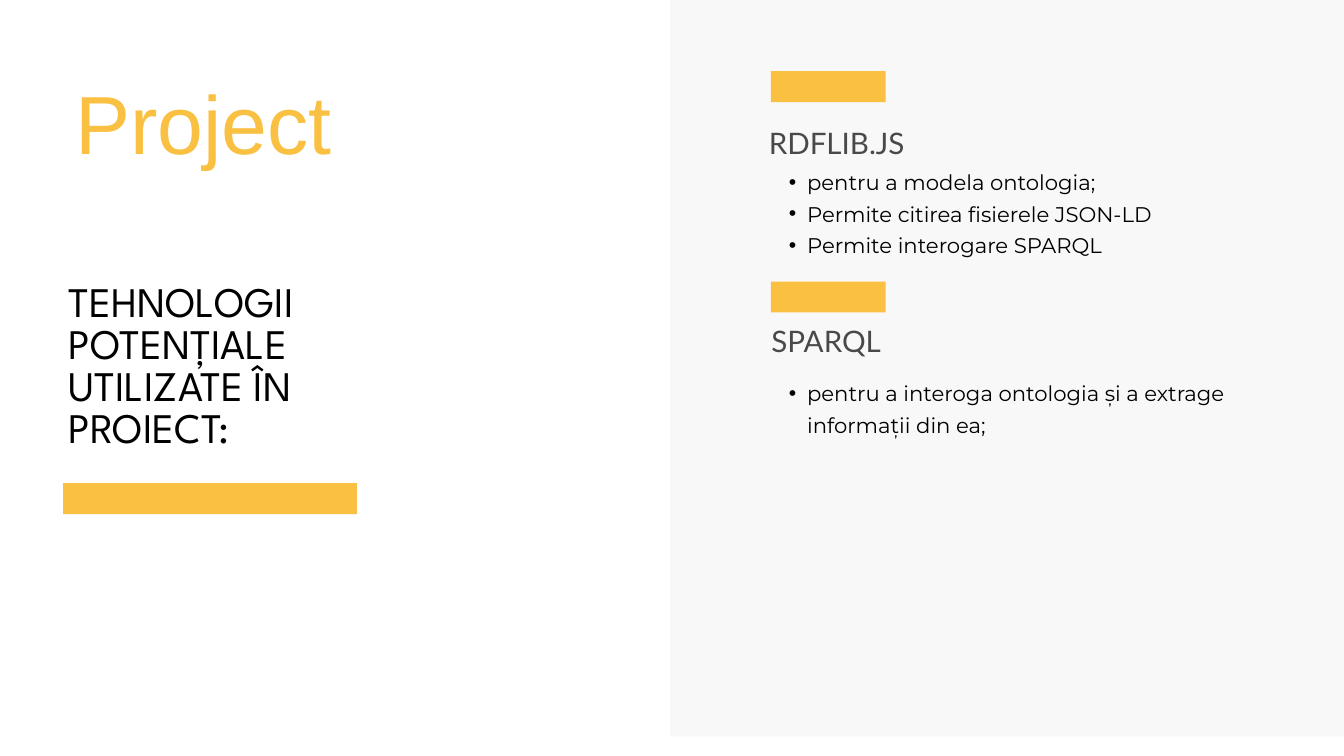
"""Build the slide listing the technologies considered for the project."""
from dataclasses import dataclass

from lxml import etree
from pptx import Presentation
from pptx.dml.color import RGBColor
from pptx.enum import shapes, text
from pptx.oxml import ns
from pptx.util import Pt


@dataclass(frozen=True)
class Style:
    font: str
    size: float
    leading: float
    color: str


@dataclass(frozen=True)
class Theme:
    accent: str = "F9C041"
    panel: str = "DDDDDD"
    panel_opacity: int = 18
    label: Style = Style("Arial", 88.3, 93.6, "F9C041")
    title: Style = Style("League Spartan", 45.1, 45.1, "000000")
    heading: Style = Style("Lato", 31.7, 47.6, "494949")
    body: Style = Style("Montserrat", 22.7, 34.1, "000000")
    bullet_indent: float = 38.88
    bullet_hang: float = 19.44


THEME = Theme()
SLIDE_SIZE = (1440, 810)
PANEL_BOX = (717.84, -20.88, 738, 810)
BAR_HEIGHT = 33.12
SECTION_LEFT = 825.84
SECTION_BAR_WIDTH = 123.12

LABEL = ("Project", (80.64, 90, 449.28, 96.48))
TITLE = ("TEHNOLOGII POTENȚIALE UTILIZATE ÎN PROIECT:", (73.44, 303.84, 344.88, 182.88))
TITLE_BAR = (67.68, 517.68, 314.64, BAR_HEIGHT)

SECTIONS = [
    {
        "heading": "RDFLIB.JS",
        "heading_box": (823.68, 124.56, 303.12, 94.32),
        "points": [
            "pentru a modela ontologia;",
            "Permite citirea fisierele JSON-LD",
            "Permite interogare SPARQL",
        ],
        "points_box": (SECTION_LEFT, 174.24, 486.72, 100.08),
        "bar_top": 76.32,
    },
    {
        "heading": "SPARQL",
        "heading_box": (826.56, 336.96, 303.12, 44.64),
        "points": ["pentru a interoga ontologia și a extrage informații din ea;"],
        "points_box": (SECTION_LEFT, 401.04, 510.48, 100.08),
        "bar_top": 301.68,
    },
]


def add_block(slide, box, color):
    block = slide.shapes.add_shape(shapes.MSO_SHAPE.RECTANGLE, *map(Pt, box))
    block.shadow.inherit = False
    block.fill.solid()
    block.fill.fore_color.rgb = RGBColor.from_string(color)
    block.line.fill.background()
    return block


def add_panel(slide):
    panel = add_block(slide, PANEL_BOX, THEME.panel)
    tint = panel.element.spPr.find(f".//{ns.qn('a:srgbClr')}")
    etree.SubElement(tint, ns.qn("a:alpha"), val=str(THEME.panel_opacity * 1000))
    panel.element.getparent().insert(2, panel.element)


def add_bullet(paragraph):
    props = paragraph._p.get_or_add_pPr()
    props.set("marL", str(Pt(THEME.bullet_indent)))
    props.set("indent", str(-Pt(THEME.bullet_hang)))
    etree.SubElement(props, ns.qn("a:buFont"), typeface="Arial")
    etree.SubElement(props, ns.qn("a:buChar"), char="•")


def write(holder, box, lines, style, bulleted=False):
    holder.left, holder.top, holder.width, holder.height = map(Pt, box)
    frame = holder.text_frame
    frame.word_wrap = True
    frame.auto_size = text.MSO_AUTO_SIZE.NONE
    frame.vertical_anchor = text.MSO_ANCHOR.TOP
    frame.margin_left = frame.margin_top = frame.margin_right = frame.margin_bottom = 0
    for number, line in enumerate(lines):
        paragraph = frame.add_paragraph() if number else frame.paragraphs[0]
        paragraph.alignment = text.PP_ALIGN.LEFT
        paragraph.line_spacing = Pt(style.leading)
        paragraph.space_before = paragraph.space_after = Pt(0)
        if bulleted:
            add_bullet(paragraph)
        run = paragraph.add_run()
        run.text = line
        run.font.name = style.font
        run.font.size = Pt(style.size)
        run.font.bold = False
        run.font.color.rgb = RGBColor.from_string(style.color)


def main():
    deck = Presentation()
    deck.slide_width, deck.slide_height = map(Pt, SLIDE_SIZE)
    slide = deck.slides.add_slide(deck.slide_layouts.get_by_name("Comparison"))
    holders = {holder.placeholder_format.idx: holder for holder in slide.placeholders}

    add_panel(slide)
    add_block(slide, TITLE_BAR, THEME.accent)
    title, title_box = TITLE
    write(slide.shapes.title, title_box, [title], THEME.title)
    label, label_box = LABEL
    write(slide.shapes.add_textbox(*map(Pt, label_box)), label_box, [label], THEME.label)

    for number, section in enumerate(SECTIONS):
        heading, points = holders[2 * number + 1], holders[2 * number + 2]
        write(heading, section["heading_box"], [section["heading"]], THEME.heading)
        write(points, section["points_box"], section["points"], THEME.body, bulleted=True)
        bar = (SECTION_LEFT, section["bar_top"], SECTION_BAR_WIDTH, BAR_HEIGHT)
        add_block(slide, bar, THEME.accent)

    deck.save("out.pptx")


if __name__ == "__main__":
    main()
